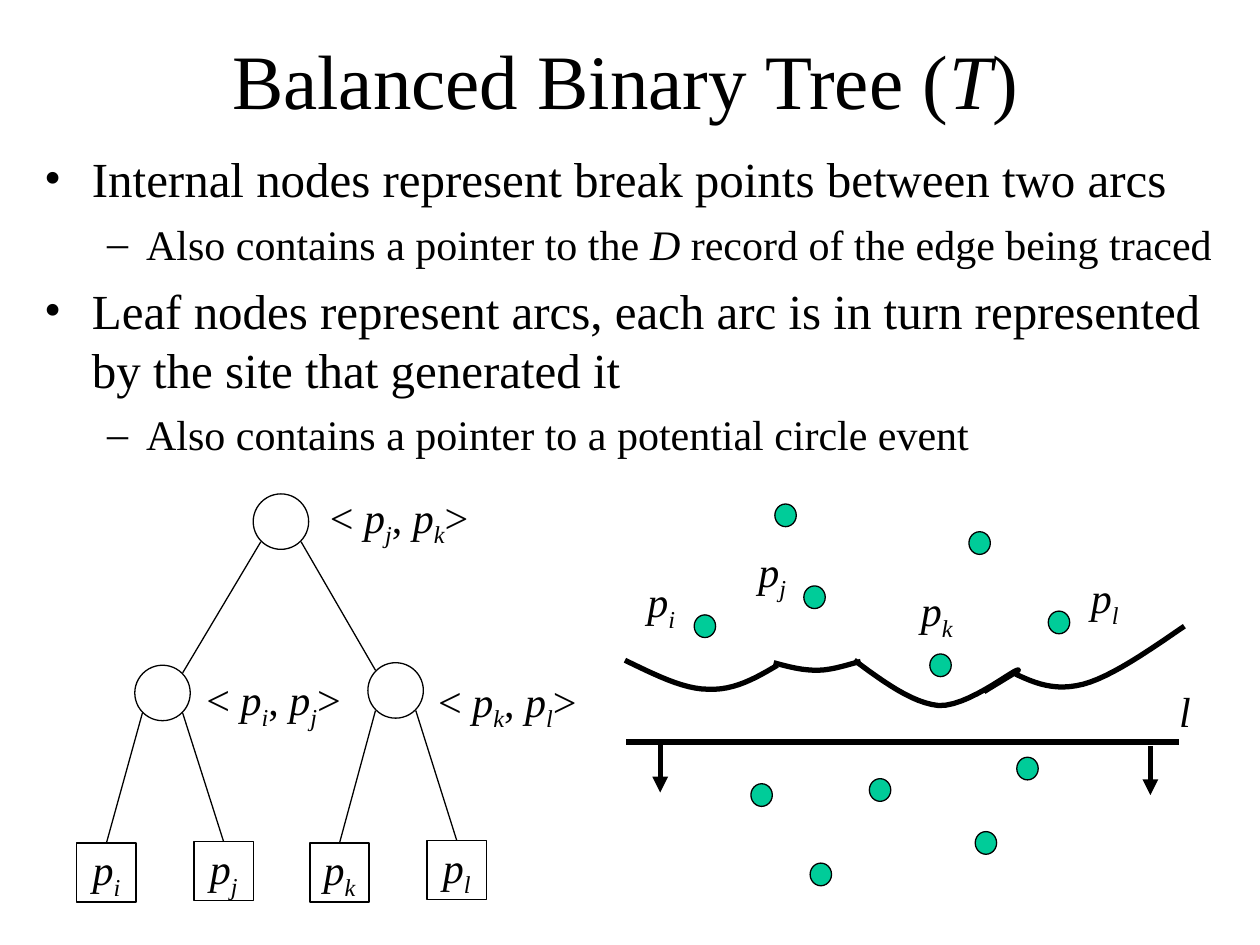
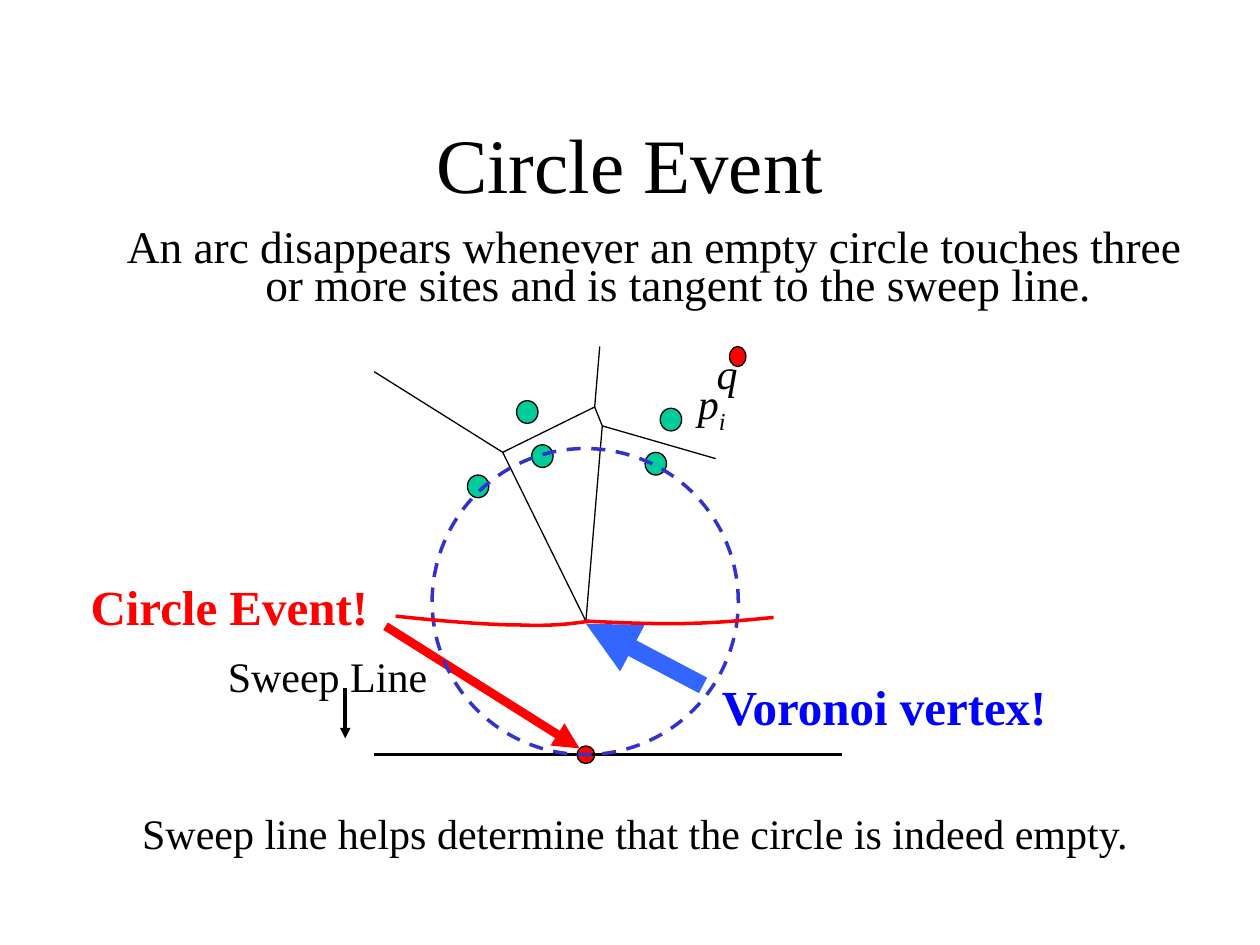
"""Build two slides on the sweep line: its balanced tree and its circle event."""
from dataclasses import dataclass
from typing import Optional

from lxml.etree import SubElement
from pptx import Presentation
from pptx.dml.color import RGBColor
from pptx.enum.dml import MSO_LINE
from pptx.enum.shapes import MSO_CONNECTOR, MSO_SHAPE
from pptx.enum.text import MSO_ANCHOR, MSO_AUTO_SIZE, PP_ALIGN
from pptx.oxml.ns import qn
from pptx.util import Inches, Pt

BLACK = RGBColor(0x00, 0x00, 0x00)
GREEN = RGBColor(0x00, 0xCC, 0x99)
RED = RGBColor(0xFF, 0x00, 0x00)
BLUE = RGBColor(0x00, 0x00, 0xFF)
SKY = RGBColor(0x33, 0x66, 0xFF)
NAVY = RGBColor(0x33, 0x33, 0xCC)
FACE = "Times New Roman"
THIN = 0.75
NODE = 0.44
LEAF = 0.47
STEPS = 12

Point = tuple[float, float]
Box = tuple[float, float, float, float]


@dataclass(frozen=True)
class Run:
    text: str
    slant: bool = False
    sub: bool = False


@dataclass(frozen=True)
class Item:
    runs: list[Run]
    level: int = 0
    size: float = 28
    mark: Optional[str] = "•"
    left: float = 0.38
    hang: float = 0.38
    before: float = 7


@dataclass(frozen=True)
class Label:
    box: Box
    runs: list[Run]
    size: float = 24
    color: RGBColor = BLACK
    bold: bool = False


@dataclass(frozen=True)
class Line:
    start: Point
    end: Point
    width: float = THIN
    color: RGBColor = BLACK
    arrow: bool = False


@dataclass(frozen=True)
class Curve:
    points: list[Point]
    width: float = 3
    color: RGBColor = BLACK


def site(name: str) -> list[Run]:
    return [Run("p", True), Run(name, True, True)]


def pair(first: str, second: str) -> list[Run]:
    return [Run("< "), *site(first), Run(", "), *site(second), Run(">")]


def place(shape, box: Box) -> None:
    shape.left, shape.top, shape.width, shape.height = map(Inches, box)


def write(para, runs: list[Run], size: float, color: RGBColor = BLACK, bold: bool = False) -> None:
    for part in runs:
        run = para.add_run()
        run.text = part.text
        font = run.font
        font.name, font.size, font.bold, font.italic = FACE, Pt(size), bold, part.slant
        font.color.rgb = color
        if part.sub:
            run._r.get_or_add_rPr().set("baseline", "-25000")


def add_title(slide, box: Box, runs: list[Run]) -> None:
    title = slide.shapes.title
    place(title, box)
    frame = title.text_frame
    frame.auto_size = MSO_AUTO_SIZE.NONE
    frame.vertical_anchor = MSO_ANCHOR.MIDDLE
    para = frame.paragraphs[0]
    para.alignment = PP_ALIGN.CENTER
    write(para, runs, 44)


def add_body(slide, box: Box, items: list[Item], align=PP_ALIGN.LEFT, pitch: float = 1.0) -> None:
    body = slide.placeholders[1]
    place(body, box)
    frame = body.text_frame
    frame.auto_size = MSO_AUTO_SIZE.NONE
    for i, item in enumerate(items):
        para = frame.add_paragraph() if i else frame.paragraphs[0]
        props = para._p.get_or_add_pPr()
        props.set("marL", str(Inches(item.left)))
        props.set("indent", str(-Inches(item.hang)))
        if item.mark:
            SubElement(props, qn("a:buFont")).set("typeface", FACE)
            SubElement(props, qn("a:buChar")).set("char", item.mark)
        else:
            SubElement(props, qn("a:buNone"))
        para.level, para.alignment, para.line_spacing = item.level, align, pitch
        para.space_before = Pt(item.before if i else 0)
        write(para, item.runs, item.size)


def add_label(slide, label: Label) -> None:
    frame = slide.shapes.add_textbox(*map(Inches, label.box)).text_frame
    frame.word_wrap = False
    frame.auto_size = MSO_AUTO_SIZE.SHAPE_TO_FIT_TEXT
    write(frame.paragraphs[0], label.runs, label.size, label.color, label.bold)


def style(shape, fill: Optional[RGBColor], color: RGBColor, width: float) -> None:
    shape.shadow.inherit = False
    if fill is None:
        shape.fill.background()
    else:
        shape.fill.solid()
        shape.fill.fore_color.rgb = fill
    shape.line.color.rgb = color
    shape.line.width = Pt(width)


def add_form(slide, kind, box: Box, fill: Optional[RGBColor] = None,
             color: RGBColor = BLACK, width: float = THIN):
    shape = slide.shapes.add_shape(kind, *map(Inches, box))
    style(shape, fill, color, width)
    return shape


def add_sites(slide, spots: list[Point]) -> None:
    for left, top in spots:
        add_form(slide, MSO_SHAPE.OVAL, (left, top, 0.17, 0.18), GREEN)


def add_line(slide, line: Line) -> None:
    ends = map(Inches, (*line.start, *line.end))
    shape = slide.shapes.add_connector(MSO_CONNECTOR.STRAIGHT, *ends)
    shape.line.color.rgb = line.color
    shape.line.width = Pt(line.width)
    if line.arrow:
        SubElement(shape.line._get_or_add_ln(), qn("a:tailEnd")).set("type", "triangle")
    SubElement(shape._element.spPr, qn("a:effectLst"))


def bend(knots: list[Point], t: float) -> Point:
    u = 1 - t
    shares = (u ** 3, 3 * u * u * t, 3 * u * t * t, t ** 3)
    x, y = (sum(s * k[axis] for s, k in zip(shares, knots)) for axis in (0, 1))
    return Inches(x), Inches(y)


def add_curve(slide, curve: Curve) -> None:
    points = curve.points
    trail = [bend(points[i:i + 4], step / STEPS)
             for i in range(0, len(points) - 1, 3) for step in range(1, STEPS + 1)]
    pen = slide.shapes.build_freeform(*map(Inches, points[0]))
    pen.add_line_segments(trail, close=False)
    style(pen.convert_to_shape(), None, curve.color, curve.width)


def add_leaf(slide, spot: Point, name: str) -> None:
    frame = add_form(slide, MSO_SHAPE.RECTANGLE, (*spot, LEAF, LEAF)).text_frame
    frame.word_wrap = False
    frame.vertical_anchor = MSO_ANCHOR.MIDDLE
    para = frame.paragraphs[0]
    para.alignment = PP_ALIGN.CENTER
    write(para, site(name), 24)


def add_tree(slide) -> None:
    near, far = 0.06, NODE - 0.06
    root, west, east = nodes = [(2.01, 3.92), (1.07, 5.28), (2.92, 5.26)]
    leaves = {"i": (0.61, 6.69), "j": (1.54, 6.68), "k": (2.46, 6.69), "l": (3.39, 6.67)}
    for node in nodes:
        add_form(slide, MSO_SHAPE.OVAL, (*node, NODE, NODE))
    for name, spot in leaves.items():
        add_leaf(slide, spot, name)
    tops = [(x + LEAF / 2, y) for x, y in leaves.values()]
    heads = [(west[0] + far, west[1] + near), (east[0] + near, east[1] + near)]
    for (x, y), ends in ((root, heads), (west, tops[:2]), (east, tops[2:])):
        for side, end in zip((near, far), ends):
            add_line(slide, Line((x + side, y + far), end))
    for left, top, runs in ((2.52, 3.85, pair("j", "k")), (1.54, 5.3, pair("i", "j")),
                            (3.38, 5.31, pair("k", "l"))):
        add_label(slide, Label((left, top, 1.34, 0.56), runs))


def add_beach(slide) -> None:
    add_sites(slide, [
        (5.96, 6.22), (6.9, 6.18), (7.74, 6.6), (8.07, 6.01), (6.43, 6.85), (7.38, 5.19),
        (8.32, 4.85), (7.69, 4.22), (6.38, 4.65), (6.15, 4), (5.51, 4.88)])
    for name, left, top in (("i", 5.04, 4.52), ("j", 5.92, 4.28),
                            ("k", 7.21, 4.59), ("l", 8.56, 4.49)):
        add_label(slide, Label((left, top, 0.48, 0.56), site(name)))
    for line in (Line((4.97, 5.89), (9.36, 5.89), 3),
                 Line((5.24, 5.9), (5.24, 6.29), 3, arrow=True),
                 Line((9.13, 5.92), (9.13, 6.31), 3, arrow=True)):
        add_line(slide, line)
    add_label(slide, Label((9.26, 5.39, 0.29, 0.5), [Run("l", True)]))
    for points in (
        [(4.96, 5.24), (5.19, 5.35), (5.42, 5.47), (5.62, 5.47),
         (5.83, 5.48), (6, 5.38), (6.17, 5.28)],
        [(6.14, 5.26), (6.25, 5.29), (6.36, 5.32), (6.48, 5.32),
         (6.6, 5.32), (6.71, 5.28), (6.83, 5.25)],
        [(6.78, 5.24), (7.01, 5.41), (7.24, 5.58), (7.45, 5.6), (7.67, 5.61),
         (8.01, 5.34), (8.07, 5.32), (8.13, 5.3), (7.97, 5.39), (7.81, 5.49)],
        [(8.06, 5.35), (8.21, 5.42), (8.37, 5.49), (8.6, 5.43),
         (8.82, 5.37), (9.11, 5.17), (9.4, 4.97)],
    ):
        add_curve(slide, Curve(points))


def draw_tree(slide) -> None:
    add_title(slide, (0.71, 0, 8.5, 1.25),
              [Run("Balanced Binary Tree ("), Run("T", True), Run(")")])
    minor = dict(level=1, size=24, mark="–", left=0.81, hang=0.31, before=6)
    add_body(slide, (0.25, 1.13, 9.57, 4.5), [
        Item([Run("Internal nodes represent break points between two arcs")]),
        Item([Run("Also contains a pointer to the "), Run("D ", True),
              Run("record of the edge being traced")], **minor),
        Item([Run("Leaf nodes represent arcs, each arc is in turn represented "
                  "by the site that generated it")]),
        Item([Run("Also contains a pointer to a potential circle event")], **minor)])
    add_tree(slide)
    add_beach(slide)


def draw_event(slide) -> None:
    add_title(slide, (0.75, 0.67, 8.5, 1.25), [Run("Circle Event")])
    add_body(slide, (0.78, 1.8, 8.83, 0.74), [
        Item([Run("An arc disappears whenever an empty circle touches three or more sites "
                  "and is tangent to the sweep line.")], size=25.9, mark=None)],
        PP_ALIGN.CENTER, 0.7)
    add_label(slide, Label((1.03, 6.36, 8.05, 0.5), [
        Run("Sweep line helps determine that the circle is indeed empty.")]))
    add_label(slide, Label((0.62, 4.53, 2.41, 0.57), [Run("Circle Event!")], 28, RED, True))
    add_line(slide, Line((3.06, 4.97), (4.6, 5.94), 5, RED, True))
    add_form(slide, MSO_SHAPE.OVAL, (4.58, 5.92, 0.14, 0.14), RED)
    add_line(slide, Line((2.97, 5.99), (6.68, 5.99), 2))
    add_label(slide, Label((1.71, 5.11, 1.78, 0.5), [Run("Sweep Line")]))
    add_line(slide, Line((2.74, 5.46), (2.74, 5.86), 2, arrow=True))
    west, north, east, vertex = (3.99, 3.59), (4.72, 3.23), (4.78, 3.38), (4.65, 4.93)
    for start, end in ((east, north), ((2.97, 2.95), west), (west, vertex), (vertex, east),
                       (west, north), (east, (5.68, 3.64)), (north, (4.76, 2.75))):
        add_line(slide, Line(start, end))
    add_sites(slide, [(5.12, 3.59), (5.24, 3.24), (3.71, 3.77), (4.22, 3.53), (4.1, 3.18)])
    add_label(slide, Label((5.44, 2.95, 0.48, 0.56), site("i")))
    add_label(slide, Label((5.59, 2.71, 0.36, 0.5), [Run("q", True)]))
    add_form(slide, MSO_SHAPE.OVAL, (5.79, 2.75, 0.13, 0.16), RED)
    ring = add_form(slide, MSO_SHAPE.OVAL, (3.43, 3.56, 2.43, 2.43), None, NAVY, 2)
    ring.line.dash_style = MSO_LINE.DASH
    add_label(slide, Label((5.63, 5.32, 2.82, 0.57), [Run("Voronoi vertex!")], 28, BLUE, True))
    add_line(slide, Line((5.58, 5.44), (4.65, 4.95), 10, SKY, True))
    for points in (
        [(4.66, 4.93), (4.87, 4.94), (5.09, 4.95), (5.33, 4.95),
         (5.58, 4.95), (5.86, 4.93), (6.14, 4.9)],
        [(3.14, 4.89), (3.51, 4.93), (3.88, 4.96), (4.13, 4.96),
         (4.39, 4.97), (4.53, 4.95), (4.68, 4.93)],
    ):
        add_curve(slide, Curve(points, 2, RED))


def main() -> None:
    deck = Presentation()
    deck.slide_width, deck.slide_height = Inches(10), Inches(7.5)
    for draw in (draw_tree, draw_event):
        draw(deck.slides.add_slide(deck.slide_layouts[1]))
    deck.save("out.pptx")


if __name__ == "__main__":
    main()
